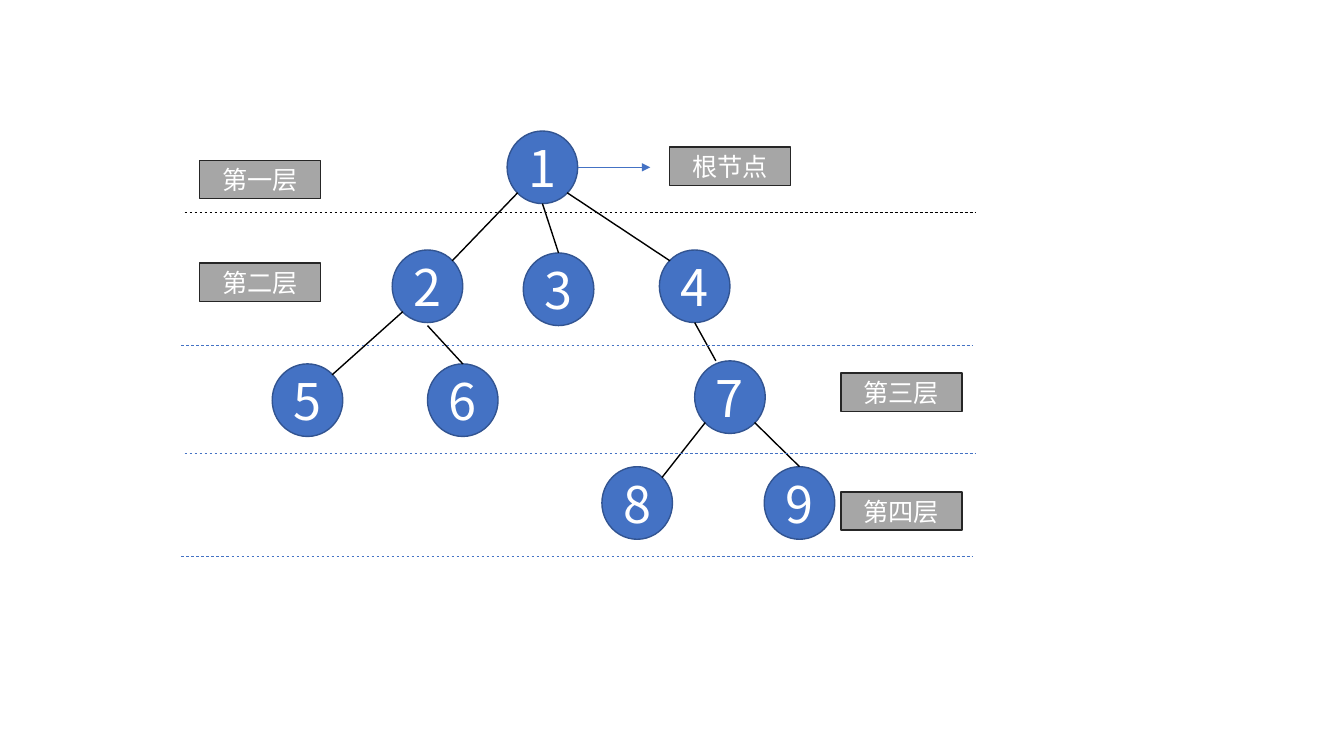
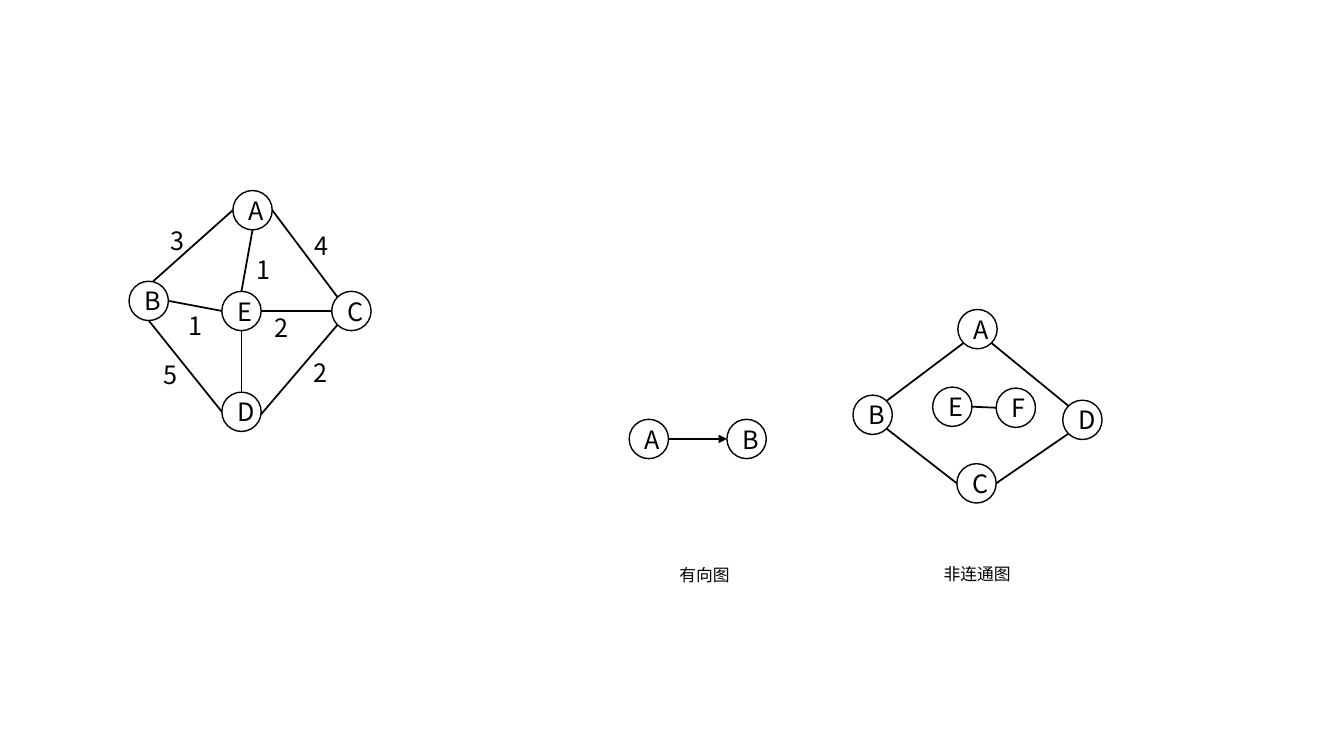
from lxml import etree
from pptx import Presentation
from pptx.dml.color import RGBColor
from pptx.enum.dml import MSO_LINE
from pptx.enum.shapes import MSO_CONNECTOR, MSO_SHAPE
from pptx.enum.text import MSO_ANCHOR, MSO_AUTO_SIZE, PP_ALIGN
from pptx.oxml.ns import qn
from pptx.util import Inches, Pt

STRAIGHT = MSO_CONNECTOR.STRAIGHT
DASH = MSO_LINE.DASH
DISC = MSO_SHAPE.FLOWCHART_CONNECTOR
OVAL = MSO_SHAPE.OVAL
RECT = MSO_SHAPE.RECTANGLE
MIDDLE = MSO_ANCHOR.MIDDLE
GROW = MSO_AUTO_SIZE.SHAPE_TO_FIT_TEXT
LEFT, CENTER = PP_ALIGN.LEFT, PP_ALIGN.CENTER

FONT = "Noto Sans CJK SC"
BLACK, WHITE = "000000", "FFFFFF"
BLUE, NAVY = "4472C4", "325491"
GREY, COAL = "A6A6A6", "262626"
DIAG = 0.35
SIDES = {
    "N": (0, -0.5), "S": (0, 0.5), "W": (-0.5, 0), "E": (0.5, 0),
    "NW": (-DIAG, -DIAG), "NE": (DIAG, -DIAG),
    "SW": (-DIAG, DIAG), "SE": (DIAG, DIAG),
}


def paint(color):
    return RGBColor.from_string(color)


def write(frame, text, size=18, color=BLACK, align=LEFT):
    para = frame.paragraphs[0]
    para.alignment = align
    run = para.add_run()
    run.text = text
    run.font.size = Pt(size)
    run.font.color.rgb = paint(color)
    run.font.name = FONT
    props = run.font._element
    etree.SubElement(props, qn("a:ea")).set("typeface", FONT)


class Sketch:
    def __init__(self, deck):
        self.slide = deck.slides.add_slide(deck.slide_layouts[6])
        self.layer = self.slide.shapes

    def group(self):
        self.layer = self.slide.shapes.add_group_shape().shapes

    def shape(self, kind, text, box, fill, edge, size=18, color=WHITE):
        shape = self.layer.add_shape(kind, *map(Inches, box))
        shape.shadow.inherit = False
        shape.fill.solid()
        shape.fill.fore_color.rgb = paint(fill)
        shape.line.color.rgb = paint(edge)
        shape.line.width = Pt(1)
        shape.text_frame.vertical_anchor = MIDDLE
        write(shape.text_frame, text, size=size, color=color, align=CENTER)

    def label(self, text, box):
        self.shape(RECT, text, box, GREY, COAL)

    def nodes(self, spots, kind, wide, high, fill, edge, size, color):
        self.spots, self.wide, self.high = spots, wide, high
        for name, (left, top) in spots.items():
            self.shape(kind, name, (left, top, wide, high), fill, edge,
                       size=size, color=color)

    def rings(self, spots):
        self.nodes(spots, OVAL, 0.39, 0.39, WHITE, BLACK, 18, BLACK)

    def pin(self, end):
        if not isinstance(end, str):
            return end
        left, top = self.spots[end[0]]
        across, down = SIDES[end[1:]]
        return (left + self.wide * (0.5 + across),
                top + self.high * (0.5 + down))

    def line(self, start, end, color=BLACK, width=1, dash=None, arrow=False):
        ends = [Inches(value) for value in self.pin(start) + self.pin(end)]
        link = self.layer.add_connector(STRAIGHT, *ends)
        link.line.color.rgb = paint(color)
        link.line.width = Pt(width)
        if dash:
            link.line.dash_style = dash
        props = link._element.spPr
        if arrow:
            tail = etree.SubElement(props.find(qn("a:ln")), qn("a:tailEnd"))
            tail.set("type", "triangle")
        etree.SubElement(props, qn("a:effectLst"))

    def links(self, pairs, **style):
        for start, end in pairs:
            self.line(start, end, **style)

    def note(self, text, box, size=18):
        frame = self.layer.add_textbox(*map(Inches, box)).text_frame
        frame.word_wrap = False
        frame.auto_size = GROW
        write(frame, text, size=size)


def draw_tree(deck):
    tree = Sketch(deck)
    tree.nodes({
        "1": (5.03, 1.3),
        "2": (3.89, 2.48), "3": (5.19, 2.51), "4": (6.54, 2.48),
        "5": (2.7, 3.61), "6": (4.24, 3.61), "7": (6.89, 3.58),
        "8": (5.97, 4.63), "9": (7.58, 4.63),
    }, DISC, 0.7, 0.72, BLUE, NAVY, 36, WHITE)
    tree.links([
        ("1SW", "2NE"), ("1S", "3N"), ("1SE", "4NW"),
        ("2SW", "5NE"), ((4.24, 3.23), "6N"), ("4S", (7.1, 3.58)),
        ("7SW", "8NE"), ("7SE", "9N"),
    ])
    for left, top, color in [(1.83, 2.11, BLACK), (1.8, 3.43, BLUE),
                             (1.83, 4.5, BLUE), (1.8, 5.52, BLUE)]:
        tree.line((left, top), (left + 7.85, top), color=color,
                  width=0.5, dash=DASH)
    for text, left, top in [("第一层", 1.98, 1.59), ("第二层", 1.98, 2.61),
                            ("第三层", 8.34, 3.7), ("第四层", 8.34, 4.88),
                            ("根节点", 6.64, 1.46)]:
        tree.label(text, (left, top, 1.2, 0.38))
    tree.line("1E", (6.45, 1.66), color=BLUE, width=0.5, arrow=True)


def draw_graphs(deck):
    graph = Sketch(deck)
    graph.group()
    graph.rings({
        "E": (2.2, 2.89), "A": (2.31, 1.89), "C": (3.29, 2.89),
        "B": (1.28, 2.79), "D": (2.2, 3.89),
    })
    graph.links([
        ("EE", "CW"), ("BE", "EW"), ("AS", "EN"), ("DN", "ES"),
        ((1.52, 2.79), "AW"), ("BS", "DW"), ((2.59, 4.11), "CSW"),
        ("AE", "CNW"),
    ], width=1.25)
    for text, left, top in [("3", 1.59, 2.19), ("1", 2.45, 2.47),
                            ("4", 3.02, 2.24), ("1", 1.77, 3.03),
                            ("2", 2.62, 3.05), ("2", 3.01, 3.5),
                            ("5", 1.52, 3.52)]:
        graph.note(text, (left, top, 0.28, 0.4))

    graph.group()
    graph.rings({"A": (6.24, 4.16), "B": (7.21, 4.16)})
    graph.line("AE", "BW", width=1.25, arrow=True)
    graph.rings({
        "A": (9.5, 3.07), "B": (8.46, 3.92), "C": (9.49, 4.6),
        "D": (10.54, 3.97), "F": (9.88, 3.85), "E": (9.25, 3.84),
    })
    graph.links([
        ("CE", "DSW"), ("BSE", "CW"), ("BNE", "ASW"),
        ("EE", "FW"), ("ASE", "DNW"),
    ], width=1.25)
    graph.note("有向图", (6.64, 5.55, 0.77, 0.3), size=12)
    graph.note("非连通图", (9.26, 5.54, 0.92, 0.3), size=12)


def main():
    deck = Presentation()
    deck.slide_width, deck.slide_height = Inches(13.33), Inches(7.5)
    draw_tree(deck)
    draw_graphs(deck)
    deck.save("out.pptx")


if __name__ == "__main__":
    main()
